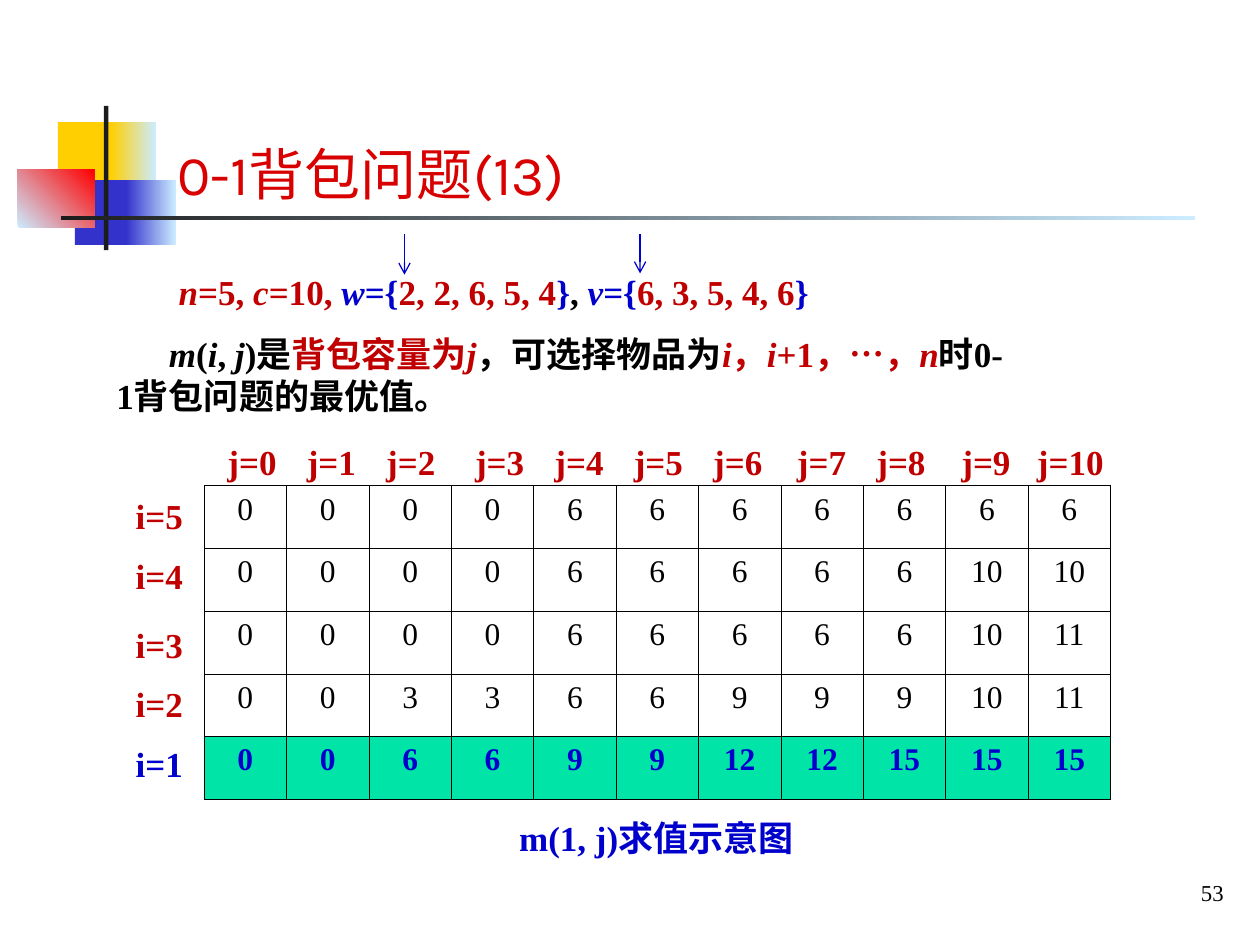
from typing import NamedTuple, Optional

from lxml import etree
from pptx import Presentation
from pptx import util as u
from pptx.dml.color import RGBColor
from pptx.enum import shapes, text
from pptx.oxml.ns import qn

# The slide is a grid of 100 columns by 75 rows, each a tenth of an inch.
CELL = u.Inches(0.1)
COLUMNS, ROWS = 100, 75

SERIF, TITLE_FONT = "Times New Roman", "Karla"
RED, BLUE, BLACK = "C00000", "0000CC", "000000"
SKY, YELLOW, INDIGO, INK = "CCECFF", "FFCF01", "3333CC", "1C1C1C"
ANSWER_FILL = "00E4A8"


class Area(NamedTuple):
    col: float
    row: float
    cols: float
    rows: float


class Block(NamedTuple):
    area: Area
    color: str
    fade_to: Optional[str] = None
    angle: float = 0


class Words(NamedTuple):
    words: str
    color: str = BLACK
    italic: bool = False
    bold: bool = True


BLOCKS = [
    Block(Area(4.6, 9.7, 4.8, 5.2), YELLOW),
    Block(Area(8.8, 9.7, 3.55, 5.2), YELLOW, SKY),
    Block(Area(5.95, 14.3, 4.6, 5.15), INDIGO),
    Block(Area(10, 14.3, 3.95, 5.15), INDIGO, SKY),
    Block(Area(1.4, 13.45, 6.1, 4.6), SKY, "FF0000", 45),
    Block(Area(8.25, 8.4, 0.35, 11.45), INK),
    Block(Area(4.85, 17.15, 90, 0.3), INK, SKY),
]

GIVEN = [
    Words("n", RED, True), Words("=5, ", RED), Words("c", RED, True), Words("=10, ", RED),
    Words("w", BLUE, True), Words("={", BLUE), Words("2, 2, 6, 5, 4", RED), Words("}", BLUE),
    Words(", "),
    Words("v", BLUE, True), Words("={", BLUE), Words("6, 3, 5, 4, 6", RED), Words("}", BLUE),
]
DEFINITION = [
    Words("m", italic=True), Words("("), Words("i", italic=True), Words(", "),
    Words("j", italic=True), Words(")是"), Words("背包容量为", RED), Words("j", RED, True),
    Words("，可选择物品为"), Words("i", RED, True), Words("，", RED), Words("i", RED, True),
    Words("+1，…，", RED), Words("n", RED, True), Words("时0-1背包问题的最优值。"),
]

BEST_VALUES = [
    [0, 0, 0, 0, 6, 6, 6, 6, 6, 6, 6],
    [0, 0, 0, 0, 6, 6, 6, 6, 6, 10, 10],
    [0, 0, 0, 0, 6, 6, 6, 6, 6, 10, 11],
    [0, 0, 3, 3, 6, 6, 9, 9, 9, 10, 11],
    [0, 0, 6, 6, 9, 9, 12, 12, 15, 15, 15],
]
CAPACITY_COLS = [17.05, 23.35, 29.65, 36.7, 43, 49.3, 55.6, 62.25, 68.55, 75.3, 81.3]
ITEM_ROWS = [38.75, 43.5, 49, 53.7, 58.4]


def grid(*counts: float) -> list[u.Emu]:
    return [u.Emu(round(count * CELL)) for count in counts]


def rgb(color: str) -> RGBColor:
    return RGBColor.from_string(color)


def set_font(run, color: str, size: float, bold=False, italic=False, face=SERIF) -> None:
    font = run.font
    font.name, font.size, font.bold, font.italic = face, u.Pt(size), bold, italic
    font.color.rgb = rgb(color)


def draw_block(slide, block: Block) -> None:
    shape = slide.shapes.add_shape(shapes.MSO_SHAPE.RECTANGLE, *grid(*block.area))
    shape.shadow.inherit = False
    shape.line.fill.background()
    if block.fade_to is None:
        shape.fill.solid()
        shape.fill.fore_color.rgb = rgb(block.color)
        return
    shape.fill.gradient()
    shape.fill.gradient_angle = block.angle
    for stop, color, position in zip(shape.fill.gradient_stops, (block.color, block.fade_to), (0, 1)):
        stop.color.rgb = rgb(color)
        stop.position = position


def write(slide, area: Area, line: list[Words], align=text.PP_ALIGN.CENTER,
          size: float = 20, wrap: bool = False):
    """Add a text box with one paragraph and return that paragraph."""
    frame = slide.shapes.add_textbox(*grid(*area)).text_frame
    frame.word_wrap = wrap
    frame.auto_size = text.MSO_AUTO_SIZE.SHAPE_TO_FIT_TEXT
    paragraph = frame.paragraphs[0]
    paragraph.alignment = align
    for part in line:
        run = paragraph.add_run()
        run.text = part.words
        set_font(run, part.color, size, part.bold, part.italic)
    return paragraph


def draw_arrow(slide, col: float, top: float, bottom: float) -> None:
    arrow = slide.shapes.add_connector(shapes.MSO_CONNECTOR.STRAIGHT, *grid(col, top, col, bottom))
    arrow.line.color.rgb = rgb(BLUE)
    arrow.line.width = u.Pt(0.75)
    etree.SubElement(arrow.line._get_or_add_ln(), qn("a:tailEnd"), type="arrow")
    etree.SubElement(arrow._element.spPr, qn("a:effectLst"))


def add_borders(cell) -> None:
    properties = cell._tc.get_or_add_tcPr()
    for side in ("a:lnL", "a:lnR", "a:lnT", "a:lnB"):
        border = etree.SubElement(properties, qn(side), w=str(u.Pt(0.45)))
        fill = etree.SubElement(border, qn("a:solidFill"))
        etree.SubElement(fill, qn("a:srgbClr"), val=BLACK)


def draw_values(slide, area: Area) -> None:
    """Draw the table of best values; its last row is the answer."""
    last = len(BEST_VALUES) - 1
    table = slide.shapes.add_table(len(BEST_VALUES), len(BEST_VALUES[0]), *grid(*area)).table
    table.first_row = table.horz_banding = False
    for r, values in enumerate(BEST_VALUES):
        for c, value in enumerate(values):
            cell = table.cell(r, c)
            add_borders(cell)
            if r == last:
                cell.fill.solid()
                cell.fill.fore_color.rgb = rgb(ANSWER_FILL)
            else:
                cell.fill.background()
            cell.text_frame.text = str(value)
            paragraph = cell.text_frame.paragraphs[0]
            paragraph.alignment = text.PP_ALIGN.CENTER
            set_font(paragraph.runs[0], BLUE if r == last else BLACK, 18, bold=r == last)


def place_title(slide, words: str, area: Area) -> None:
    title = slide.shapes.title
    title.left, title.top, title.width, title.height = grid(*area)
    frame = title.text_frame
    frame.text = words
    frame.vertical_anchor = text.MSO_ANCHOR.BOTTOM
    frame.paragraphs[0].alignment = text.PP_ALIGN.LEFT
    set_font(frame.paragraphs[0].runs[0], "D80000", 32, face=TITLE_FONT)
    slide.shapes._spTree.append(title._element)  # in front of the blocks


def main() -> None:
    deck = Presentation()
    deck.slide_width, deck.slide_height = grid(COLUMNS, ROWS)
    slide = deck.slides.add_slide(deck.slide_layouts[5])

    for block in BLOCKS:
        draw_block(slide, block)
    place_title(slide, "0-1背包问题(13)", Area(13.1, 6, 84.2, 10.9))
    write(slide, Area(79, 69.25, 19.1, 3.3), [Words("53", bold=False)], text.PP_ALIGN.RIGHT, 13)

    draw_values(slide, Area(16.2, 38.55, 71.94, 24.9))
    for index, row in enumerate(ITEM_ROWS):
        item = len(ITEM_ROWS) - index
        write(slide, Area(9.65, row, 6, 4.4), [Words(f"i={item}", BLUE if item == 1 else RED)])
    for capacity, col in enumerate(CAPACITY_COLS):
        width = 5.9 if capacity < 10 else 7.3
        write(slide, Area(col, 34.45, width, 4.4), [Words(f"j={capacity}", RED)])
    write(slide, Area(39.55, 64.3, 25.1, 4.4), [Words("m(1, j)求值示意图", BLUE)])

    write(slide, Area(13.2, 21, 52.7, 4.4), GIVEN, text.PP_ALIGN.LEFT)
    definition = write(slide, Area(8.25, 25.9, 72.5, 7.7), DEFINITION, text.PP_ALIGN.LEFT, wrap=True)
    definition._p.get_or_add_pPr().set("indent", str(grid(4.17)[0]))
    for col, bottom in ((50.8, 21.7), (32.1, 21.8)):
        draw_arrow(slide, col, 18.6, bottom)

    deck.save("out.pptx")


if __name__ == "__main__":
    main()
